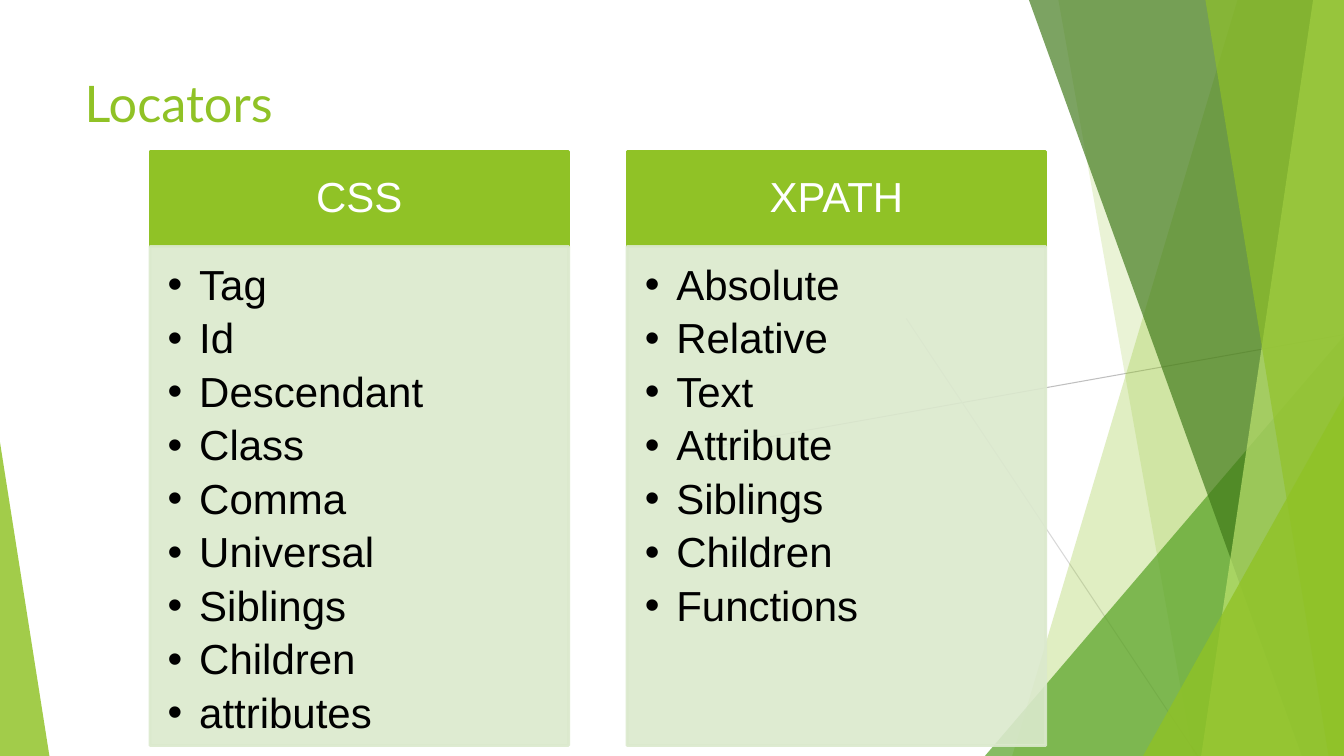
from dataclasses import dataclass

from lxml import etree
from pptx import Presentation
from pptx.dml.color import RGBColor
from pptx.enum.shapes import MSO_CONNECTOR, MSO_SHAPE
from pptx.enum.text import MSO_ANCHOR, PP_ALIGN
from pptx.oxml.ns import qn
from pptx.util import Pt

STRAIGHT = MSO_CONNECTOR.STRAIGHT
TRIANGLE, RECTANGLE = MSO_SHAPE.ISOSCELES_TRIANGLE, MSO_SHAPE.RECTANGLE
TOP, MIDDLE = MSO_ANCHOR.TOP, MSO_ANCHOR.MIDDLE
LEFT, CENTER = PP_ALIGN.LEFT, PP_ALIGN.CENTER

SLIDE_WIDTH, SLIDE_HEIGHT = 960, 540


@dataclass(frozen=True)
class Theme:
    lime: str = "90C226"
    green: str = "54A021"
    forest: str = "3F7818"
    pale_lime: str = "BFE471"
    panel: str = "DBE9CD"
    gray: str = "BFBFBF"
    light_gray: str = "D8D8D8"
    white: str = "FFFFFF"
    black: str = "000000"
    title_font: str = "Lato"
    body_font: str = "Arial"
    title_size: int = 36
    body_size: int = 30


class SlideBuilder:
    def __init__(self, slide, theme):
        self.slide = slide
        self.shapes = slide.shapes
        self.theme = theme

    def paint(self, fill, color, opacity=100):
        fill.solid()
        fill.fore_color.rgb = RGBColor.from_string(color)
        if opacity < 100:
            color_node = fill._xPr.find(qn("a:solidFill"))[0]
            etree.SubElement(color_node, qn("a:alpha"), val=str(opacity * 1000))

    def style_runs(self, paragraph, font, size, color):
        for run in paragraph.runs:
            run.font.name = font
            run.font.size = Pt(size)
            run.font.color.rgb = RGBColor.from_string(color)

    def set_frame(self, frame, anchor, margins):
        frame.word_wrap = True
        frame.vertical_anchor = anchor
        (frame.margin_left, frame.margin_top,
         frame.margin_right, frame.margin_bottom) = map(Pt, margins)

    def title(self, text, left, top, width, height):
        title = self.shapes.title
        title.left, title.top, title.width, title.height = map(Pt, (left, top, width, height))
        frame = title.text_frame
        frame.text = text
        self.set_frame(frame, TOP, (7.2, 3.6, 7.2, 3.6))
        frame.paragraphs[0].alignment = LEFT
        self.style_runs(frame.paragraphs[0], self.theme.title_font,
                        self.theme.title_size, self.theme.lime)

    def line(self, x1, y1, x2, y2, color):
        line = self.shapes.add_connector(STRAIGHT, *map(Pt, (x1, y1, x2, y2)))
        line.line.width = Pt(0.75)
        line.line.color.rgb = RGBColor.from_string(color)
        etree.SubElement(line._element.spPr, qn("a:effectLst"))

    def band(self, top_x, bottom_x, color, opacity):
        outline = self.shapes.build_freeform(top_x, 0, scale=Pt(1))
        outline.add_line_segments([(SLIDE_WIDTH, 0), (SLIDE_WIDTH, SLIDE_HEIGHT),
                                   (bottom_x, SLIDE_HEIGHT)], close=True)
        band = outline.convert_to_shape()
        band.shadow.inherit = False
        band.line.fill.background()
        self.paint(band.fill, color, opacity)

    def corner(self, left, top, width, apex, color, opacity):
        corner = self.shapes.add_shape(
            TRIANGLE, *map(Pt, (left, top, width, SLIDE_HEIGHT - top)))
        corner.adjustments[0] = apex
        corner.shadow.inherit = False
        corner.line.fill.background()
        self.paint(corner.fill, color, opacity)

    def panel(self, left, top, width, height, color, opacity=100):
        panel = self.shapes.add_shape(RECTANGLE, *map(Pt, (left, top, width, height)))
        panel.shadow.inherit = False
        self.paint(panel.fill, color, opacity)
        self.paint(panel.line.fill, color, opacity)
        panel.line.width = Pt(2)
        return panel.text_frame

    def heading(self, text, left, top, width, height):
        frame = self.panel(left, top, width, height, self.theme.lime)
        frame.text = text
        self.set_frame(frame, MIDDLE, (16.8, 9.6, 16.8, 9.6))
        frame.paragraphs[0].alignment = CENTER
        frame.paragraphs[0].line_spacing = 0.9
        self.style_runs(frame.paragraphs[0], self.theme.body_font,
                        self.theme.body_size, self.theme.white)

    def bullets(self, items, left, top, width, height):
        frame = self.panel(left, top, width, height, self.theme.panel, 90)
        frame.text = "\n".join(items)
        self.set_frame(frame, TOP, (12.6, 12.6, 16.8, 18.9))
        for paragraph in frame.paragraphs:
            paragraph.alignment = LEFT
            paragraph.line_spacing = 0.9
            paragraph.space_after = Pt(5.8)
            properties = paragraph._p.get_or_add_pPr()
            properties.set("marL", str(Pt(22.5)))
            properties.set("indent", str(Pt(-22.5)))
            etree.SubElement(properties, qn("a:buFont"), typeface=self.theme.body_font)
            etree.SubElement(properties, qn("a:buChar"), char="•")
            self.style_runs(paragraph, self.theme.body_font,
                            self.theme.body_size, self.theme.black)


def draw_backdrop(builder):
    theme = builder.theme
    builder.line(960, 239, 515.5, 318.2, theme.gray)
    builder.line(647.3, 227.5, 855.5, 540, theme.light_gray)
    builder.band(884, 723, theme.lime, 28)
    builder.band(756, 852, theme.lime, 19)
    builder.corner(703.5, 240, 256.5, 1, theme.green, 70)
    builder.band(735, 930, theme.forest, 68)
    builder.band(938, 858, theme.pale_lime, 68)
    builder.band(861, 949, theme.lime, 63)
    builder.corner(816.5, 283, 143.5, 1, theme.lime, 79)
    builder.corner(0, 316, 35.3, 0, theme.lime, 83)


def draw_locators(builder):
    locators = {
        "CSS": ["Tag", "Id", "Descendant", "Class", "Comma", "Universal",
                "Siblings", "Children", "attributes"],
        "XPATH": ["Absolute", "Relative", "Text", "Attribute", "Siblings",
                  "Children", "Functions"],
    }
    first_left, top, width, gap = 107.2, 108, 299, 41.8
    heading_height, list_height = 68, 356.5
    for column, (language, kinds) in enumerate(locators.items()):
        left = first_left + column * (width + gap)
        builder.heading(language, left, top, width, heading_height)
        builder.bullets(kinds, left, top + heading_height, width, list_height)


def main():
    presentation = Presentation()
    presentation.slide_width = Pt(SLIDE_WIDTH)
    presentation.slide_height = Pt(SLIDE_HEIGHT)
    slide = presentation.slides.add_slide(presentation.slide_layouts[5])
    builder = SlideBuilder(slide, Theme())
    draw_backdrop(builder)
    builder.title("Locators", 53.3, 48, 677, 104)
    draw_locators(builder)
    presentation.save("out.pptx")


if __name__ == "__main__":
    main()
